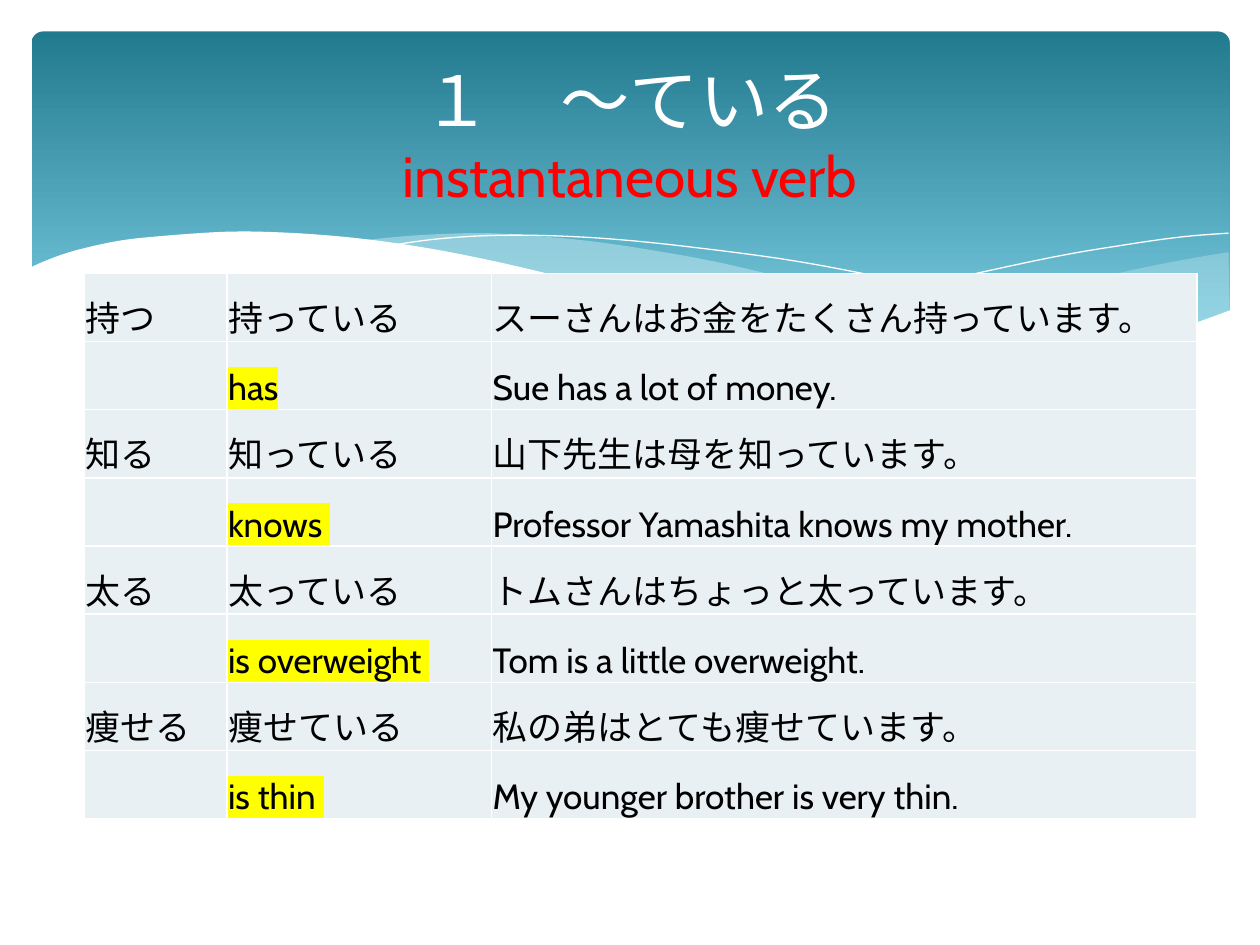
from dataclasses import dataclass
from typing import Optional

from lxml.etree import SubElement
from pptx import Presentation
from pptx.dml.color import RGBColor
from pptx.enum.shapes import MSO_SHAPE as Shape
from pptx.enum.text import MSO_ANCHOR as Anchor, PP_ALIGN as Align
from pptx.oxml import parse_xml
from pptx.oxml.ns import nsdecls, qn
from pptx.util import Inches, Pt

FONT = "Cabin"
COLORS = {
    "white": "FFFFFF",
    "black": "000000",
    "red": "FF0000",
    "yellow": "FFFF00",
    "banner_top": "227A8F",
    "banner_bottom": "7ACBE0",
    "wave": "DEF5FA",
    "cell": "E8F0F4",
}
Point = tuple[float, float]


@dataclass
class Wave:
    """Smooth curves, joined by straight lines; filled when closed."""
    curves: list[list[Point]]
    color: str
    opacity: int = 100
    closed: bool = True


@dataclass
class Verb:
    plain: str
    te_iru: str
    sentence: str
    meaning: str
    translation: str


WAVES = [
    Wave([[(9.75, 2), (9.35, 2.07), (8.91, 2.16), (8.32, 2.3), (7.53, 2.48), (6.61, 2.65)],
          [(6.61, 2.65), (7.05, 2.71), (7.57, 2.76), (8.03, 2.78), (8.54, 2.76),
           (8.97, 2.7), (9.35, 2.62), (9.76, 2.47)]], "wave", 29),
    Wave([[(8.93, 2.73), (8.37, 2.65), (7.75, 2.54), (7.06, 2.4), (6.29, 2.22), (5.69, 2.08),
           (5.14, 1.98), (4.65, 1.91), (4.2, 1.87), (3.8, 1.85), (3.28, 1.87), (2.86, 1.91)],
          [(2.86, 1.91), (3.42, 1.99), (4.04, 2.11), (4.49, 2.22), (5.3, 2.4), (6.01, 2.55),
           (6.65, 2.66), (7.22, 2.74), (7.73, 2.77), (8.18, 2.78), (8.57, 2.77),
           (8.93, 2.73)]], "wave", 40),
    Wave([[(3.09, 1.95), (3.44, 1.9), (3.87, 1.87), (4.33, 1.87), (4.89, 1.9), (5.56, 1.97),
           (6.36, 2.08), (7.27, 2.26), (8.31, 2.51), (9.07, 2.72)]], "white", closed=False),
    Wave([[(6.13, 2.57), (6.72, 2.41), (7.48, 2.23), (8.36, 2.04), (8.95, 1.94),
           (9.38, 1.88), (9.75, 1.85)]], "white", closed=False),
    Wave([[(9.77, 2.46), (9.4, 2.59), (8.99, 2.69), (8.5, 2.75), (8.09, 2.77), (7.61, 2.75),
           (7.08, 2.7), (6.48, 2.62), (5.79, 2.5), (5.03, 2.33), (4.47, 2.2), (3.91, 2.07),
           (3.4, 1.97), (2.92, 1.9), (2.5, 1.86), (2.11, 1.84), (1.77, 1.84), (1.32, 1.87),
           (0.95, 1.91), (0.59, 1.99), (0.36, 2.07), (0.23, 2.13)],
          [(0.23, 3.29), (9.77, 3.29)]], "white"),
]

VERBS = [
    Verb("持つ", "持っている", "スーさんはお金をたくさん持っています。",
         "has", "Sue has a lot of money."),
    Verb("知る", "知っている", "山下先生は母を知っています。",
         "knows ", "Professor Yamashita knows my mother."),
    Verb("太る", "太っている", "トムさんはちょっと太っています。",
         "is overweight ", "Tom is a little overweight."),
    Verb("痩せる", "痩せている", "私の弟はとても痩せています。",
         "is thin ", "My younger brother is very thin."),
]


def rgb(name: str) -> RGBColor:
    return RGBColor.from_string(COLORS[name])


def add_text(p, text: str, *, size: float = 20, color: str = "black",
             highlight: Optional[str] = None) -> None:
    r = p.add_run()
    r.text = text
    r.font.size = Pt(size)
    r.font.color.rgb = rgb(color)
    if highlight:
        mark = SubElement(r.font._element, qn("a:highlight"))
        SubElement(mark, qn("a:srgbClr"), val=COLORS[highlight])
    r.font.name = FONT


def smooth(points: list[Point], steps: int = 5) -> list[Point]:
    """Catmull-Rom curve through the points."""
    if len(points) < 3:
        return points
    ends = [points[0], *points, points[-1]]
    curve = [points[0]]
    for a, b, c, d in zip(ends, ends[1:], ends[2:], ends[3:]):
        for i in range(1, steps + 1):
            t = i / steps
            x, y = (
                (2 * q + (r - o) * t + (2 * o - 5 * q + 4 * r - s) * t ** 2
                 + (3 * q - o - 3 * r + s) * t ** 3) / 2
                for o, q, r, s in zip(a, b, c, d)
            )
            curve.append((x, y))
    return curve


def draw_wave(shapes, wave: Wave) -> None:
    points = [(Inches(x), Inches(y)) for curve in wave.curves for x, y in smooth(curve)]
    builder = shapes.build_freeform(*points[0])
    builder.add_line_segments(points[1:], close=wave.closed)
    sp = builder.convert_to_shape()
    sp.shadow.inherit = False
    if not wave.closed:
        sp.fill.background()
        sp.line.color.rgb = rgb(wave.color)
        sp.line.width = Pt(0)
        return
    sp.line.fill.background()
    sp.fill.solid()
    sp.fill.fore_color.rgb = rgb(wave.color)
    if wave.opacity < 100:
        color = sp._element.spPr.find(qn("a:solidFill"))[0]
        SubElement(color, qn("a:alpha"), val=str(wave.opacity * 1000))


def draw_banner(shapes) -> None:
    sp = shapes.add_shape(Shape.ROUNDED_RECTANGLE, Inches(0.25), Inches(0.25),
                          Inches(9.51), Inches(2.7))
    sp.adjustments[0] = 0.034
    sp.shadow.inherit = False
    sp.line.fill.background()
    sp.fill.gradient()
    sp.fill.gradient_angle = 270
    stops = ((0, "banner_top"), (0.9, "banner_bottom"))
    for stop, (position, color) in zip(sp.fill.gradient_stops, stops):
        stop.position = position
        stop.color.rgb = rgb(color)


def format_cell(cell) -> None:
    cell.vertical_anchor = Anchor.BOTTOM
    cell.margin_left = cell.margin_right = cell.margin_top = Inches(0.01)
    cell.margin_bottom = 0
    tcPr = cell._tc.get_or_add_tcPr()
    for side in ("lnL", "lnR", "lnT", "lnB"):
        tcPr.append(parse_xml(
            f'<a:{side} {nsdecls("a")} w="{Pt(1)}"><a:solidFill>'
            f'<a:srgbClr val="{COLORS["white"]}"/></a:solidFill></a:{side}>'))
    cell.fill.solid()
    cell.fill.fore_color.rgb = rgb("cell")


def draw_verb_table(shapes, verbs: list[Verb]) -> None:
    rows = 2 * len(verbs)
    table = shapes.add_table(rows, 3, Inches(0.67), Inches(2.17),
                             Inches(8.83), Inches(4.33)).table
    for column, width in zip(table.columns, (1.13, 2.1, 5.6)):
        column.width = Inches(width)
    for cell in table.iter_cells():
        format_cell(cell)
    for i, verb in enumerate(verbs):
        lines = ((verb.plain, verb.te_iru, verb.sentence),
                 ("", verb.meaning, verb.translation))
        for j, line in enumerate(lines):
            for k, text in enumerate(line):
                if text:
                    p = table.cell(2 * i + j, k).text_frame.paragraphs[0]
                    add_text(p, text, highlight="yellow" if (j, k) == (1, 1) else None)


def draw_title(shapes) -> None:
    tf = shapes.add_textbox(Inches(0.5), Inches(0.37), Inches(9), Inches(1.37)).text_frame
    tf.word_wrap = True
    tf.vertical_anchor = Anchor.MIDDLE
    p = tf.paragraphs[0]
    p.alignment = Align.CENTER
    add_text(p, "１　～ている", size=39.6, color="white")
    p.add_line_break()
    add_text(p, "instantaneous verb", size=32.4, color="red")


def main() -> None:
    prs = Presentation()
    prs.slide_width, prs.slide_height = Inches(10), Inches(7.5)
    shapes = prs.slides.add_slide(prs.slide_layouts[6]).shapes

    # Banner with waves along its lower edge
    draw_banner(shapes)
    for wave in WAVES:
        draw_wave(shapes, wave)

    # Content
    draw_verb_table(shapes, VERBS)
    draw_title(shapes)
    prs.save("out.pptx")


if __name__ == "__main__":
    main()
